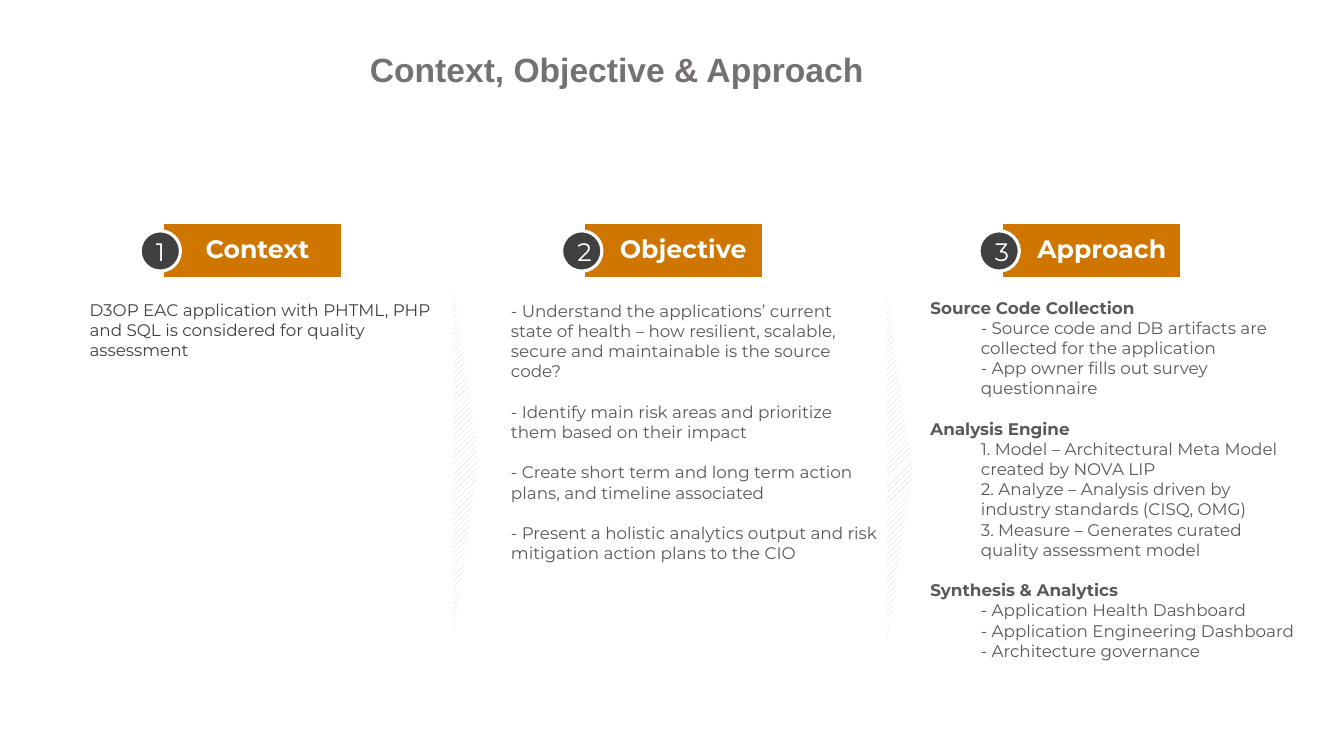
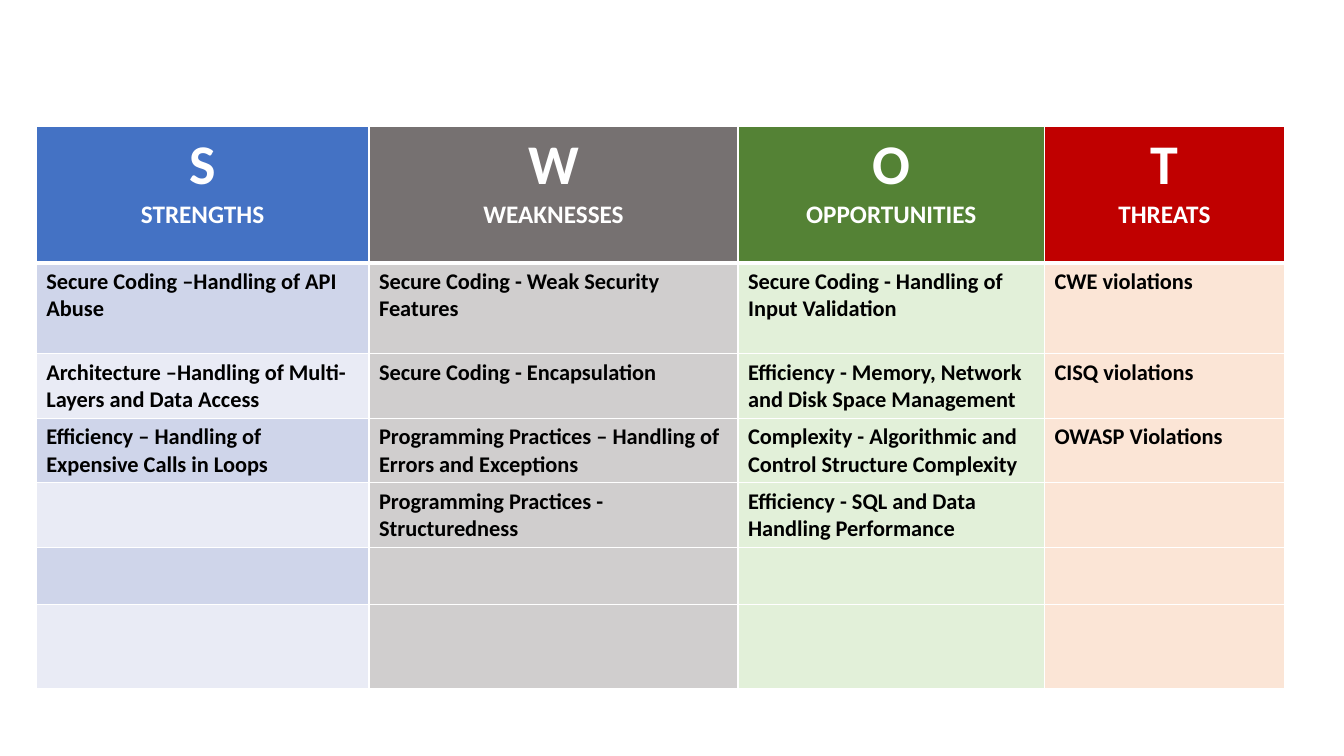
import pptx
import pptx.dml.color
import pptx.enum.dml
import pptx.enum.shapes
import pptx.enum.text
import pptx.oxml.ns
import pptx.util
import lxml.etree

Inches = pptx.util.Inches
Pt = pptx.util.Pt
Shape = pptx.enum.shapes.MSO_SHAPE
Align = pptx.enum.text.PP_ALIGN
Anchor = pptx.enum.text.MSO_ANCHOR

WHITE, BLACK, ORANGE = "FFFFFF", "000000", "CF7600"
DARK, TEXT_GREY, TITLE_GREY, PALE_GREY = "404040", "595959", "767171", "D0CECE"
BODY_FONT, TITLE_FONT, TABLE_FONT = "Montserrat", "Arial", "Calibri"
LINE_GAP = 14.6

COLUMNS = [
    {
        "left": 1.62, "label_shift": 0.32, "heading": "Context",
        "body": (0.79, 2.92, 3.73, 3.88), "color": DARK,
        "groups": [(None, ["D3OP EAC application with PHTML, PHP and SQL is considered for quality assessment"])],
    },
    {
        "left": 5.8, "label_shift": 0.25, "heading": "Objective",
        "body": (4.97, 2.93, 3.84, 2.52), "color": TEXT_GREY,
        "groups": [
            (None, ["- Understand the applications’ current state of health – how resilient, scalable, secure and maintainable is the source code?"]),
            (None, ["- Identify main risk areas and prioritize them based on their impact"]),
            (None, ["- Create short term and long term action plans, and timeline associated"]),
            (None, ["- Present a holistic analytics output and risk mitigation action plans to the CIO"]),
        ],
    },
    {
        "left": 9.94, "label_shift": 0.25, "heading": "Approach",
        "body": (9.13, 2.9, 3.84, 3.74), "color": TEXT_GREY,
        "groups": [
            ("Source Code Collection", [
                "- Source code and DB artifacts are collected for the application",
                "- App owner fills out survey questionnaire",
            ]),
            ("Analysis Engine", [
                "1. Model – Architectural Meta Model created by NOVA LIP",
                "2. Analyze – Analysis driven by industry standards (CISQ, OMG)",
                "3. Measure – Generates curated quality assessment model",
            ]),
            ("Synthesis & Analytics", [
                "- Application Health Dashboard",
                "- Application Engineering Dashboard",
                "- Architecture governance",
            ]),
        ],
    },
]

SWOT = [
    ("STRENGTHS", 3.3, "4472C4", ["CFD5EA", "E9EBF5"], [
        "Secure Coding –Handling of API Abuse",
        "Architecture –Handling of Multi-Layers and Data Access",
        "Efficiency – Handling of Expensive Calls in Loops",
    ]),
    ("WEAKNESSES", 3.66, TITLE_GREY, [PALE_GREY], [
        "Secure Coding - Weak Security Features",
        "Secure Coding - Encapsulation",
        "Programming Practices – Handling of Errors and Exceptions",
        "Programming Practices - Structuredness",
    ]),
    ("OPPORTUNITIES", 3.04, "548235", ["E2F0D9"], [
        "Secure Coding - Handling of Input Validation",
        "Efficiency - Memory, Network and Disk Space Management",
        "Complexity - Algorithmic and Control Structure Complexity",
        "Efficiency - SQL and Data Handling Performance",
    ]),
    ("THREATS", 2.38, "C00000", ["FBE5D6"], [
        "CWE violations",
        "CISQ violations",
        "OWASP Violations",
    ]),
]
ROW_HEIGHTS = [1.36, 0.9, 0.64, 0.64, 0.64, 0.57, 0.83]


def rgb(value):
    return pptx.dml.color.RGBColor.from_string(value)


def style_para(para, size, font, color, bold=False, align=Align.LEFT):
    para.alignment = align
    for span in para.runs:
        span.font.size = Pt(size)
        span.font.name = font
        span.font.bold = bold
        span.font.color.rgb = rgb(color)


def add_text(page, bounds, text):
    box = page.shapes.add_textbox(*map(Inches, bounds))
    box.text_frame.word_wrap = True
    box.text_frame.text = text
    return box.text_frame


def add_shape(page, kind, bounds, fill, line_width=1):
    shape = page.shapes.add_shape(kind, *map(Inches, bounds))
    shape.shadow.inherit = False
    shape.fill.solid()
    shape.fill.fore_color.rgb = rgb(fill)
    shape.line.color.rgb = rgb(WHITE)
    shape.line.width = Pt(line_width)
    return shape


def add_title(page, bounds, text):
    frame = add_text(page, bounds, text)
    frame.vertical_anchor = Anchor.MIDDLE
    frame.paragraphs[0].line_spacing = 0.9
    style_para(frame.paragraphs[0], 24, TITLE_FONT, TITLE_GREY, True)


def add_heading(page, left, top, number, text, label_shift):
    add_shape(page, Shape.RECTANGLE, (left, top, 1.77, 0.54), ORANGE)
    badge = add_shape(page, Shape.OVAL, (left - 0.23, top + 0.07, 0.4, 0.4), DARK, 2.25)
    badge.text_frame.text = str(number)
    badge.text_frame.vertical_anchor = Anchor.MIDDLE
    style_para(badge.text_frame.paragraphs[0], 18, BODY_FONT, WHITE, align=Align.CENTER)
    label = add_text(page, (left + label_shift, top + 0.05, 2.05, 0.44), text)
    style_para(label.paragraphs[0], 18, BODY_FONT, WHITE, True)


def add_body(page, bounds, groups, color):
    lines = []
    for index, (heading, items) in enumerate(groups):
        gap = LINE_GAP if index else 0
        if heading:
            lines.append((heading, True, gap, 0))
            lines += [(item, False, 0, 0.5) for item in items]
        else:
            lines += [(item, False, gap, 0) for item in items]
    frame = add_text(page, bounds, "\n".join(line[0] for line in lines))
    for para, (_, bold, gap, indent) in zip(frame.paragraphs, lines):
        style_para(para, 12, BODY_FONT, color, bold)
        para.space_before = Pt(gap)
        para._p.get_or_add_pPr().set("marL", str(Inches(indent)))


def add_divider(page, bounds):
    divider = add_shape(page, Shape.ISOSCELES_TRIANGLE, bounds, WHITE)
    divider.rotation = 90
    divider.fill.patterned()
    divider.fill.pattern = pptx.enum.dml.MSO_PATTERN.WIDE_UPWARD_DIAGONAL
    divider.fill.fore_color.rgb = rgb(PALE_GREY)
    divider.fill.back_color.rgb = rgb(WHITE)


def set_cell(cell, fill, bottom_width=1):
    cell.fill.solid()
    cell.fill.fore_color.rgb = rgb(fill)
    qn = pptx.oxml.ns.qn
    properties = cell._tc.get_or_add_tcPr()
    for index, side in enumerate("LRTB"):
        width = bottom_width if side == "B" else 1
        border = lxml.etree.Element(qn("a:ln" + side), w=str(Pt(width)))
        solid = lxml.etree.SubElement(border, qn("a:solidFill"))
        lxml.etree.SubElement(solid, qn("a:srgbClr"), val=WHITE)
        properties.insert(index, border)


def add_swot_table(page, left, top):
    width = sum(column[1] for column in SWOT)
    bounds = (left, top, width, sum(ROW_HEIGHTS))
    table = page.shapes.add_table(len(ROW_HEIGHTS), len(SWOT), *map(Inches, bounds)).table
    table.horz_banding = False
    for row, height in zip(table.rows, ROW_HEIGHTS):
        row.height = Inches(height)
    for column, (heading, width, color, tints, items) in enumerate(SWOT):
        table.columns[column].width = Inches(width)
        header = table.cell(0, column)
        set_cell(header, color, 3)
        header.text_frame.text = heading[0] + "\n" + heading
        for para, size in zip(header.text_frame.paragraphs, (40, 18)):
            style_para(para, size, TABLE_FONT, WHITE, True, Align.CENTER)
        for row in range(1, len(ROW_HEIGHTS)):
            cell = table.cell(row, column)
            set_cell(cell, tints[(row - 1) % len(tints)])
            if row <= len(items):
                cell.text_frame.text = items[row - 1]
                style_para(cell.text_frame.paragraphs[0], 16, TABLE_FONT, BLACK, True)


def build_approach(page):
    add_title(page, (3.57, 0.46, 5.42, 0.5), "Context, Objective & Approach")
    for number, column in enumerate(COLUMNS, 1):
        add_heading(page, column["left"], 2.22, number, column["heading"], column["label_shift"])
        add_body(page, column["body"], column["groups"], column["color"])
    for left, top in ((2.75, 4.45), (7.05, 4.52)):
        add_divider(page, (left, top, 3.74, 0.27))


def build_swot(page):
    add_swot_table(page, 0.36, 1.25)


def main():
    deck = pptx.Presentation()
    deck.slide_width = Inches(13.33)
    deck.slide_height = Inches(7.5)
    for build in (build_approach, build_swot):
        build(deck.slides.add_slide(deck.slide_layouts[6]))
    deck.save("out.pptx")


if __name__ == "__main__":
    main()
